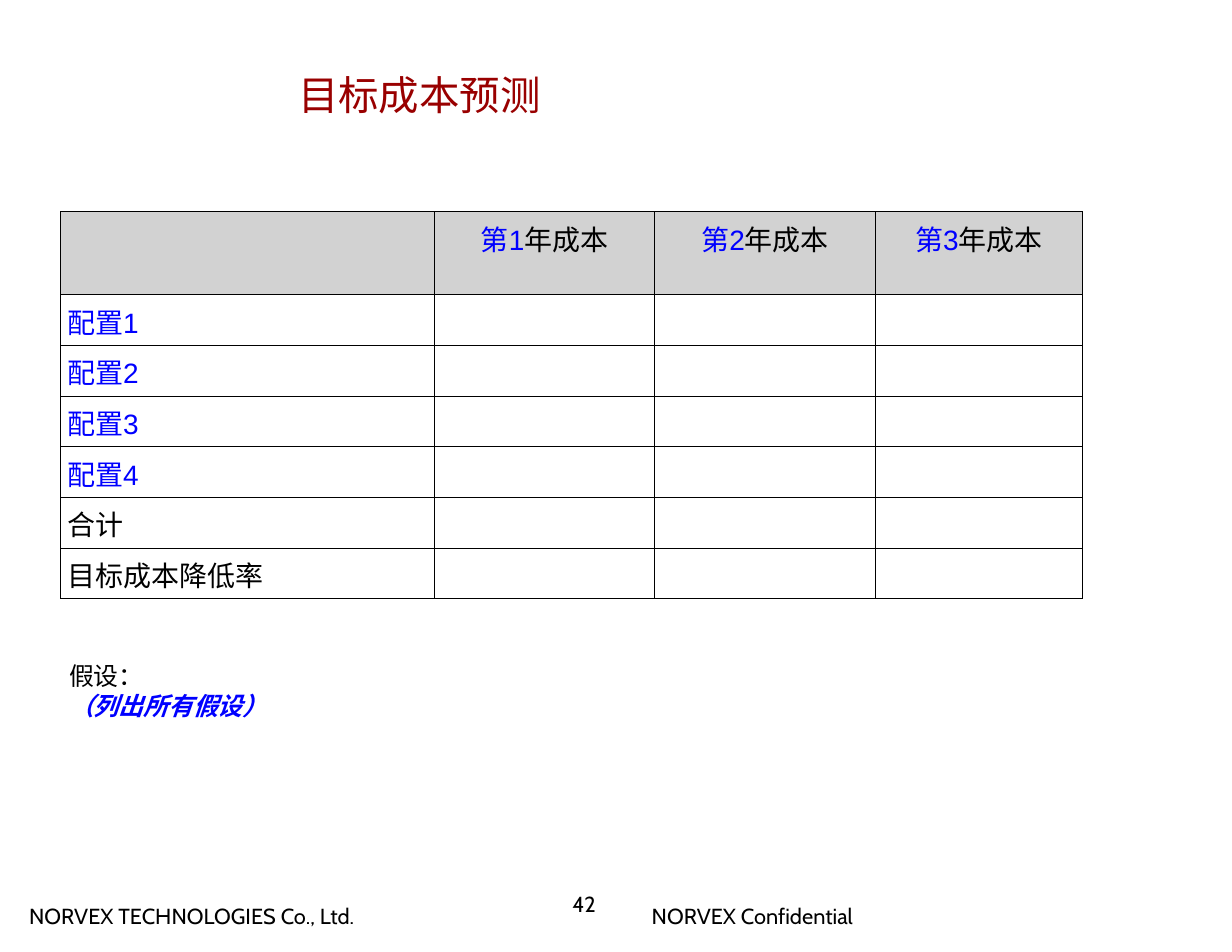
from dataclasses import dataclass

from lxml.etree import SubElement
from pptx import Presentation
from pptx.dml.color import RGBColor
from pptx.enum.text import MSO_ANCHOR, PP_ALIGN
from pptx.oxml.ns import qn
from pptx.util import Cm, Pt


@dataclass(frozen=True)
class Theme:
    black: str = "000000"
    blue: str = "0000FF"
    red: str = "990000"
    header_fill: str = "D2D2D2"
    title_size: int = 26
    table_size: int = 18
    note_size: int = 16
    footer_size: int = 14
    border_width: float = 0.45
    main_font: str = "Arial"
    note_font: str = "Noto Sans CJK SC"
    footer_font: str = "Cabin"


def add_text(paragraph, text, *, size, color, font, bold=False, italic=False):
    run = paragraph.add_run()
    run.text = text
    run.font.size = Pt(size)
    run.font.bold = bold
    run.font.italic = italic
    run.font.color.rgb = RGBColor.from_string(color)
    run.font.name = font
    east_asian = SubElement(run.font._element, qn("a:ea"))
    east_asian.set("typeface", Theme.main_font)


def set_borders(cell, color, width):
    """Draw all four edges; lines must come before the fill in the cell properties."""
    properties = cell._tc.get_or_add_tcPr()
    for index, edge in enumerate(("lnL", "lnR", "lnT", "lnB")):
        line = properties.makeelement(qn(f"a:{edge}"), {"w": str(Pt(width))})
        fill = SubElement(line, qn("a:solidFill"))
        SubElement(fill, qn("a:srgbClr")).set("val", color)
        properties.insert(index, line)


class SlideBuilder:
    def __init__(self, slide, theme):
        self.slide = slide
        self.theme = theme

    def text_box(self, left, top, width, height, margin=0, wrap=True):
        """Add an empty text box, in centimetres, and return its text frame."""
        shape = self.slide.shapes.add_textbox(Cm(left), Cm(top), Cm(width), Cm(height))
        frame = shape.text_frame
        frame.word_wrap = wrap
        frame.margin_left = frame.margin_right = Cm(margin)
        frame.margin_top = frame.margin_bottom = Cm(margin / 2)
        return frame

    def title(self, text):
        frame = self.text_box(6.76, 1.6, 15.98, 1.12)
        add_text(frame.paragraphs[0], text, size=self.theme.title_size,
                 color=self.theme.red, font=self.theme.main_font)

    def assumptions(self, heading, prompt):
        frame = self.text_box(1.57, 14.99, 19.08, 1.75)
        style = {"size": self.theme.note_size, "font": self.theme.note_font}
        add_text(frame.paragraphs[0], heading, color=self.theme.black, **style)
        add_text(frame.add_paragraph(), prompt, color=self.theme.blue,
                 bold=True, italic=True, **style)

    def footer(self, text, left, top, width, height, **frame_format):
        frame = self.text_box(left, top, width, height, **frame_format)
        add_text(frame.paragraphs[0], text, size=self.theme.footer_size,
                 color=self.theme.black, font=self.theme.footer_font)

    def cost_table(self, years, row_labels):
        """Each label is a list of (text, color) parts."""
        column_widths = [8.48, 5.0, 5.0, 4.7]
        row_heights = [1.88] + [1.15] * len(row_labels)
        table = self.slide.shapes.add_table(
            len(row_heights), len(column_widths), Cm(1.37), Cm(4.8),
            Cm(sum(column_widths)), Cm(sum(row_heights))).table
        for column, width in zip(table.columns, column_widths):
            column.width = Cm(width)
        for row, height in zip(table.rows, row_heights):
            row.height = Cm(height)

        for cell in table.iter_cells():
            cell.fill.background()
            cell.margin_left = cell.margin_right = Cm(0.15)
            cell.margin_top, cell.margin_bottom = Cm(0.3), Cm(0.08)
            cell.vertical_anchor = MSO_ANCHOR.TOP
            set_borders(cell, self.theme.black, self.theme.border_width)
        for column in range(len(column_widths)):
            fill = table.cell(0, column).fill
            fill.solid()
            fill.fore_color.rgb = RGBColor.from_string(self.theme.header_fill)

        for column, parts in enumerate(years, start=1):
            self.label(table.cell(0, column), parts, PP_ALIGN.CENTER)
        for row, parts in enumerate(row_labels, start=1):
            self.label(table.cell(row, 0), parts, PP_ALIGN.LEFT)

    def label(self, cell, parts, alignment):
        paragraph = cell.text_frame.paragraphs[0]
        paragraph.alignment = alignment
        for text, color in parts:
            add_text(paragraph, text, size=self.theme.table_size,
                     color=color, font=self.theme.main_font)


def main():
    presentation = Presentation()
    presentation.slide_width, presentation.slide_height = Cm(27.94), Cm(21.59)
    theme = Theme()
    slide = presentation.slides.add_slide(presentation.slide_layouts[6])
    builder = SlideBuilder(slide, theme)

    builder.footer("NORVEX TECHNOLOGIES Co., Ltd.", 0.41, 20.35, 8.59, 0.84,
                   margin=0.25, wrap=False)
    builder.footer("NORVEX Confidential", 14.53, 20.35, 5.77, 0.84,
                   margin=0.25, wrap=False)
    builder.title("目标成本预测")
    builder.assumptions("假设：", "（列出所有假设）")
    years = [[(f"第{year}", theme.blue), ("年成本", theme.black)] for year in range(1, 4)]
    configurations = [[(f"配置{number}", theme.blue)] for number in range(1, 5)]
    totals = [[(text, theme.black)] for text in ("合计", "目标成本降低率")]
    builder.cost_table(years, configurations + totals)
    builder.footer("42", 12.98, 20.19, 1.19, 0.61)

    presentation.save("out.pptx")


if __name__ == "__main__":
    main()
